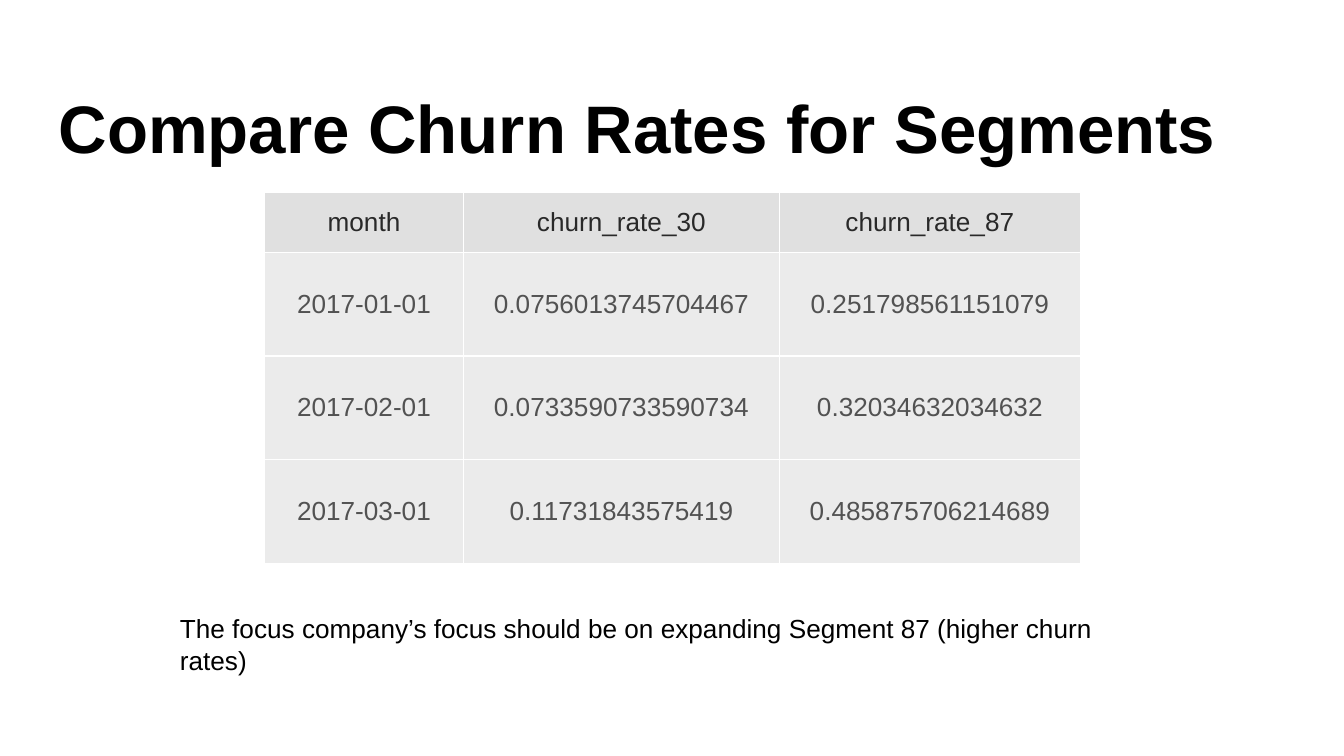
from lxml.etree import SubElement
from pptx import Presentation
from pptx.dml.color import RGBColor as Rgb
from pptx.enum.text import MSO_ANCHOR as Anchor, PP_ALIGN as Align
from pptx.oxml.ns import qn
from pptx.util import Cm, Pt

TITLE = "Compare Churn Rates for Segments"
HEAD = ("month", "churn_rate_30", "churn_rate_87")
RATES = [
    ("2017-01-01", "0.0756013745704467", "0.251798561151079"),
    ("2017-02-01", "0.0733590733590734", "0.32034632034632"),
    ("2017-03-01", "0.11731843575419", "0.485875706214689"),
]
NOTE = ("The focus company’s focus should be on expanding Segment 87 "
        "(higher churn rates)")
COLORS = {"ink": "000000", "head": "292929", "body": "525252",
          "headfill": "E0E0E0", "bodyfill": "EBEBEB", "rule": "FFFFFF"}
WIDTHS = (3.76, 5.97, 5.69)
HEAD_H, BODY_H = 1.14, 1.96


def write(frame, text, size=14, color="ink", bold=False, align=Align.LEFT):
    para = frame.paragraphs[0]
    para.alignment = align
    run = para.add_run()
    run.text = text
    font = run.font
    font.name, font.size, font.bold = "Arial", Pt(size), bold
    font.color.rgb = Rgb.from_string(COLORS[color])


def place(shape, *box):
    shape.left, shape.top, shape.width, shape.height = map(Cm, box)


def edge(cell):
    """Rule all four sides of a cell."""
    props = cell._tc.get_or_add_tcPr()
    for side in ("lnL", "lnR", "lnT", "lnB"):
        line = SubElement(props, qn("a:" + side), w=str(Pt(0.75)))
        fill = SubElement(line, qn("a:solidFill"))
        SubElement(fill, qn("a:srgbClr"), val=COLORS["rule"])


def add_rates(slide):
    rows = [HEAD, *RATES]
    heights = [HEAD_H] + [BODY_H] * len(RATES)
    table = slide.shapes.add_table(
        len(rows), len(HEAD), Cm(5), Cm(3.63),
        Cm(sum(WIDTHS)), Cm(sum(heights))).table
    table.first_row = table.horz_banding = False
    for col, width in zip(table.columns, WIDTHS):
        col.width = Cm(width)
    for r, (row, height) in enumerate(zip(rows, heights)):
        table.rows[r].height = Cm(height)
        kind = "body" if r else "head"
        for c, text in enumerate(row):
            cell = table.cell(r, c)
            edge(cell)
            cell.fill.solid()
            cell.fill.fore_color.rgb = Rgb.from_string(COLORS[kind + "fill"])
            cell.vertical_anchor = Anchor.MIDDLE
            write(cell.text_frame, text, color=kind, align=Align.CENTER)


def main():
    deck = Presentation()
    deck.slide_width, deck.slide_height = Cm(25.4), Cm(14.29)
    slide = deck.slides.add_slide(deck.slide_layouts[5])

    title = slide.shapes.title
    place(title, 0.86, 1.24, 23.67, 1.6)
    frame = title.text_frame
    frame.vertical_anchor = Anchor.TOP
    frame.margin_left = frame.margin_right = Cm(0.25)
    frame.margin_top, frame.margin_bottom = Cm(0.4), Cm(0.25)
    write(frame, TITLE, size=36, bold=True)

    add_rates(slide)

    note = slide.shapes.add_textbox(0, 0, 0, 0)
    place(note, 3.15, 11.46, 19.08, 0.86)
    note.text_frame.word_wrap = True
    write(note.text_frame, NOTE)
    deck.save("out.pptx")


if __name__ == "__main__":
    main()
